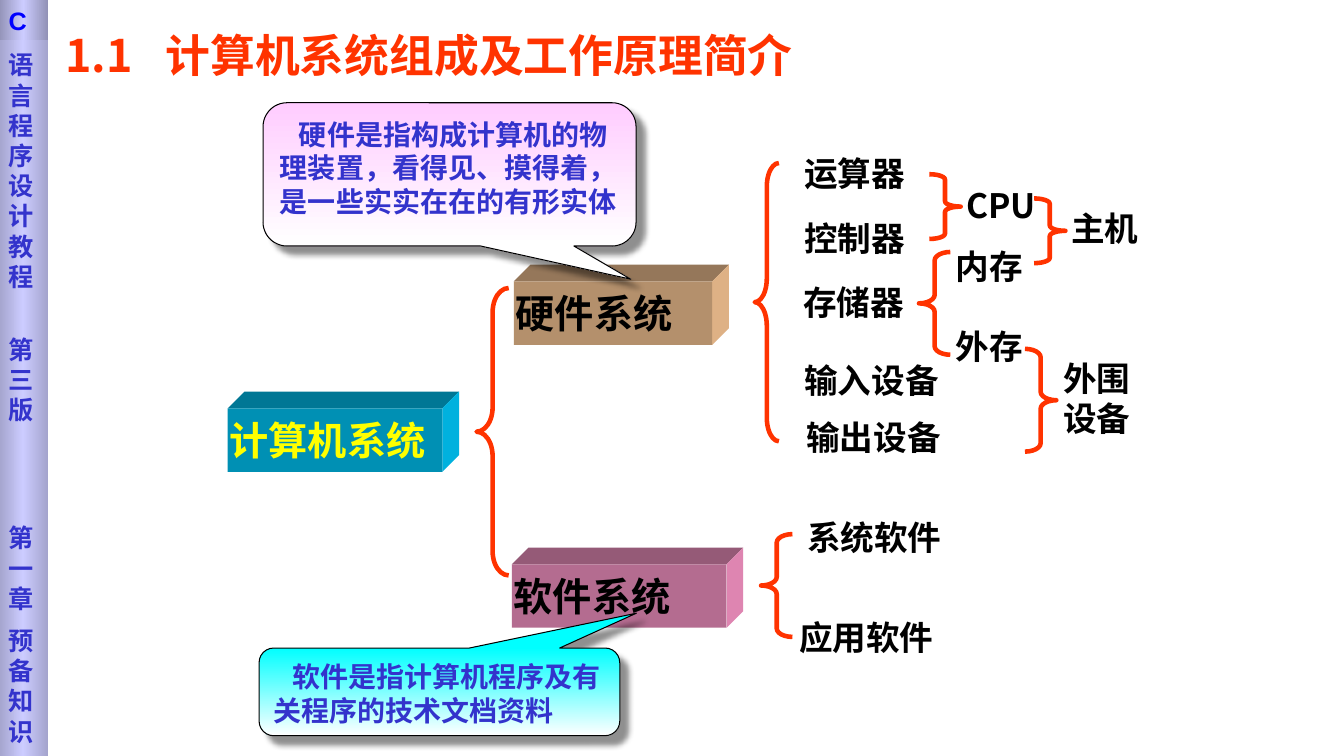
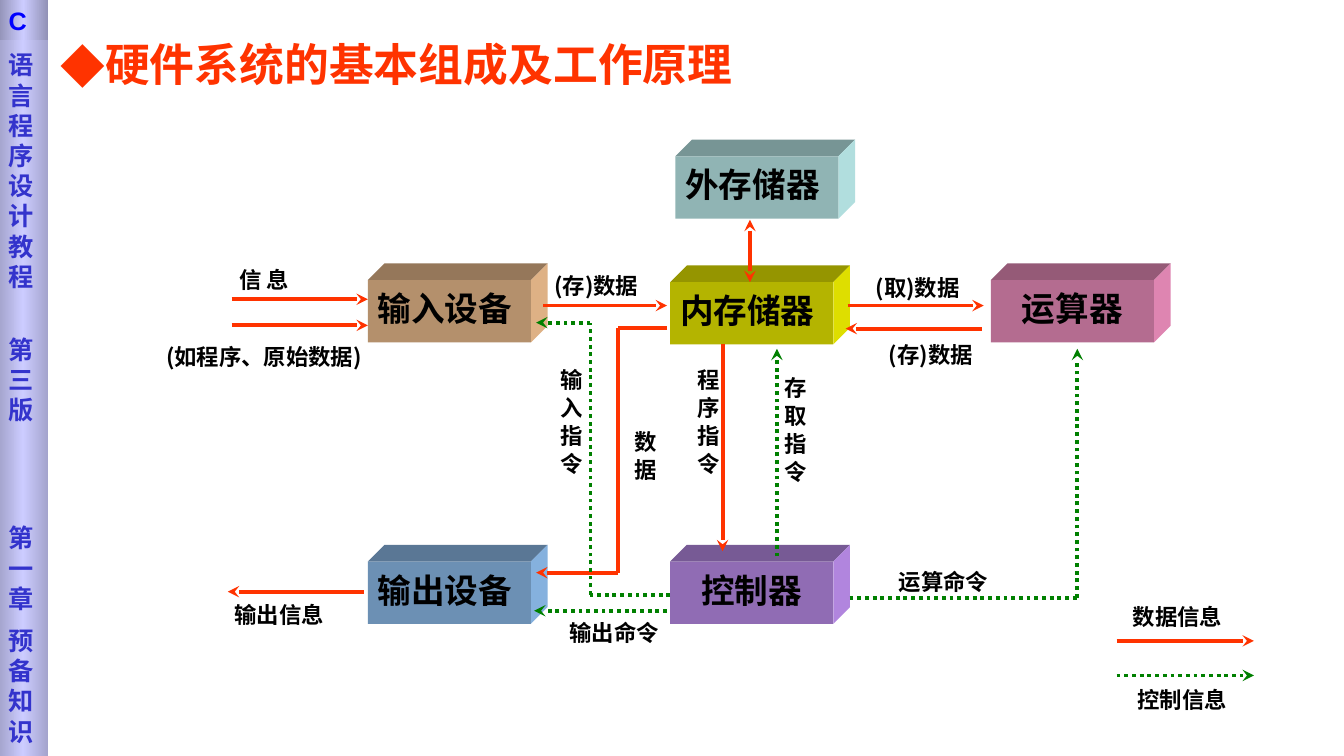
from itertools import pairwise

from lxml.etree import SubElement
from pptx import Presentation
from pptx.dml.color import RGBColor
from pptx.enum.shapes import MSO_CONNECTOR, MSO_SHAPE
from pptx.enum.text import MSO_ANCHOR, PP_ALIGN
from pptx.oxml import parse_xml
from pptx.oxml.ns import nsdecls, qn
from pptx.util import Cm, Pt

SANS = "Noto Sans CJK SC"
BLACK, RED, GREEN, INDIGO = "000000", "FF3300", "008000", "3333CC"
TAN, PINK = "FFCC99", "FF99CC"
EDGES = ("A4A4CD", "CCCCFF", "A4A4CD")
CAP_EDGES = ("9292B6", "CCCCFF", "9292B6")
DRAWING = nsdecls("a")


def rgb(code):
    return RGBColor.from_string(code)


def shade(code, factor):
    return "".join(f"{round(int(code[i:i + 2], 16) * factor):02X}" for i in (0, 2, 4))


def lengths(*values):
    return [Cm(value) for value in values]


class Deck:
    depth = 0.42
    leading = 1.2

    def __init__(self):
        self.show = Presentation()
        self.show.slide_width, self.show.slide_height = lengths(33.87, 19.05)
        self.slide = None

    def start(self):
        self.slide = self.show.slides.add_slide(self.show.slide_layouts[6])

    def typeset(self, shape, lines, size, color=BLACK, font=SANS, align=PP_ALIGN.LEFT,
                left=0.25, top=0.13):
        frame = shape.text_frame
        frame.word_wrap = True
        frame.vertical_anchor = MSO_ANCHOR.TOP
        frame.margin_left, frame.margin_right = lengths(left, 0.25)
        frame.margin_top, frame.margin_bottom = lengths(top, 0.13)
        frame.text = "\n".join(lines)
        for paragraph in frame.paragraphs:
            paragraph.alignment = align
            paragraph.line_spacing = Pt(size * self.leading)
            style = paragraph.font
            style.name, style.size, style.bold = font, Pt(size), True
            style.color.rgb = rgb(color)
            defaults = paragraph._p.pPr.find(qn("a:defRPr"))
            SubElement(defaults, qn("a:ea")).set("typeface", SANS)
        return frame.paragraphs

    def preset(self, kind, place, fill=None, line=None, width=0.75):
        shape = self.slide.shapes.add_shape(kind, *lengths(*place))
        shape.shadow.inherit = False
        self.paint(shape, fill)
        if line:
            shape.line.color.rgb = rgb(line)
            shape.line.width = Pt(width)
        else:
            shape.line.fill.background()
        return shape

    def paint(self, shape, fill):
        if fill:
            shape.fill.solid()
            shape.fill.fore_color.rgb = rgb(fill)
        else:
            shape.fill.background()

    def blend(self, shape, colors, angle):
        last = len(colors) - 1
        stops = "".join(
            f'<a:gs pos="{100000 * i // last}"><a:srgbClr val="{color}"/></a:gs>'
            for i, color in enumerate(colors))
        gradient = parse_xml(
            f'<a:gradFill {DRAWING} rotWithShape="1"><a:gsLst>{stops}</a:gsLst>'
            f'<a:lin ang="{angle * 60000}" scaled="0"/></a:gradFill>')
        properties = shape._element.spPr
        properties.replace(properties.find(qn("a:noFill")), gradient)

    def label(self, text, place, size=24, color=BLACK, font=SANS, vertical=False):
        box = self.slide.shapes.add_textbox(*lengths(*place))
        paragraph = self.typeset(box, [text], size, color, font, top=0.13 + 0.003 * size)[0]
        if vertical:
            box.text_frame._txBody.bodyPr.set("vert", "eaVert")
        return paragraph

    def title(self, text, place, font, details, margin=0):
        properties = self.label(text, place, 32, RED, font)._p.pPr
        if margin:
            properties.set("marL", str(Cm(margin)))
            properties.set("indent", str(-Cm(margin)))
        for detail in details:
            properties.find(qn("a:defRPr")).addprevious(parse_xml(detail))

    def block(self, text, place, fill, size=24, color=BLACK, align=PP_ALIGN.LEFT, left=0.25):
        x, y, width, height = place
        right, bottom, d = x + width, y + height, self.depth
        roof = [(x, y), (x + d, y - d), (right + d, y - d), (right, y)]
        side = [(right, y), (right + d, y - d), (right + d, bottom - d), (right, bottom)]
        for outline, factor in ((roof, 0.585), (side, 0.87)):
            points = [lengths(*point) for point in outline]
            builder = self.slide.shapes.build_freeform(*points[0])
            builder.add_line_segments(points[1:], close=True)
            face = builder.convert_to_shape()
            face.shadow.inherit = False
            self.paint(face, shade(fill, factor))
            face.line.fill.background()
        front = self.preset(MSO_SHAPE.RECTANGLE, place, shade(fill, 0.706))
        self.typeset(front, [text], size, color, align=align, left=left,
                     top=0.13 + 0.003 * size)

    def brace(self, place, bend, flipped=False):
        brace = self.preset(MSO_SHAPE.LEFT_BRACE, place, line=RED, width=3.25)
        brace.adjustments[0] = bend
        brace.rotation = 180 if flipped else 0

    def callout(self, text, place, tip, tint):
        bubble = self.preset(MSO_SHAPE.ROUNDED_RECTANGULAR_CALLOUT, place, line=BLACK)
        for i, value in enumerate((*tip, 0.167)):
            bubble.adjustments[i] = value
        self.blend(bubble, (tint, "FFFFFF"), 90)
        effects = bubble._element.spPr.find(qn("a:effectLst"))
        effects.append(parse_xml(
            f'<a:outerShdw {DRAWING} blurRad="{Pt(4)}" dist="{Pt(8.4)}" dir="2700000" '
            f'algn="ctr" rotWithShape="0"><a:srgbClr val="{BLACK}"><a:alpha val="43000"/>'
            '</a:srgbClr></a:outerShdw>'))
        paragraph = self.typeset(bubble, [text], 20, INDIGO, top=0.19)[0]
        paragraph._p.pPr.set("indent", str(Cm(0.48)))

    def flow(self, *points, color=RED, both=False):
        legs = list(pairwise(points))
        for leg in legs:
            start, end = leg
            line = self.slide.shapes.add_connector(
                MSO_CONNECTOR.STRAIGHT, *lengths(*start, *end))
            line.line.color.rgb = rgb(color)
            line.line.width = Pt(2.75)
            outline = line.line._get_or_add_ln()
            if color == GREEN:
                SubElement(outline, qn("a:prstDash")).set("val", "sysDot")
            if both:
                SubElement(outline, qn("a:headEnd")).set("type", "stealth")
            if leg is legs[-1]:
                SubElement(outline, qn("a:tailEnd")).set("type", "stealth")
            SubElement(line._element.spPr, qn("a:effectLst"))

    def sidebar(self):
        band = self.preset(MSO_SHAPE.RECTANGLE, (-0.03, 0, 1.24, 19.05))
        self.blend(band, EDGES, 0)
        parts = ["语言程序设计教程", "第三版", "第一章", "预备知识"]
        paragraphs = self.typeset(band, parts, 18, INDIGO, "DejaVu Sans", top=1.25)
        for paragraph, gap in zip(paragraphs, (0, 30.5, 69.8, 8.5)):
            paragraph.space_before = Pt(gap)
        cap = self.preset(MSO_SHAPE.RECTANGLE, (-0.03, 0, 1.24, 1.02))
        self.blend(cap, CAP_EDGES, 0)
        self.typeset(cap, ["C"], 18, "0000FF", "Arial")


def composition(deck):
    deck.start()
    deck.title("1.1\t计算机系统组成及工作原理简介", (1.4, 0.48, 20.2, 1.6), SANS,
               [f'<a:tabLst {DRAWING}><a:tab pos="{Cm(2.52)}" algn="l"/></a:tabLst>'])
    for text, x, y, width, fill, color in (
            ("计算机系统", 5.74, 10.29, 5.41, "00CCFF", "FFFF00"),
            ("硬件系统", 12.95, 7.09, 5, TAN, BLACK),
            ("软件系统", 12.9, 14.22, 5.41, PINK, BLACK)):
        deck.block(text, (x, y, width, 1.6), fill, 28, color, left=0.05)

    for place, bend, flipped in (
            ((12.01, 7.26, 0.81, 7.24), 0.753, False),
            ((19.02, 4.11, 0.61, 7.01), 0.973, False),
            ((23.16, 6.35, 0.79, 2.59), 0.271, False),
            ((19.18, 13.46, 0.79, 2.59), 0.271, False),
            ((23.42, 4.39, 0.79, 1.63), 0.169, True),
            ((26.06, 5, 0.79, 1.63), 0.169, True),
            ((25.83, 8.79, 0.79, 2.59), 0.271, True)):
        deck.brace(place, bend, flipped)

    for text, x, y in (
            ("运算器", 20.02, 3.66), ("控制器", 20.02, 5.28), ("存储器", 19.99, 6.91),
            ("输入设备", 20.02, 8.86), ("输出设备", 20.07, 10.31),
            ("系统软件", 20.09, 12.83), ("应用软件", 19.89, 15.34)):
        deck.label(text, (x, y, 4.11, 1.27))
    for text, x, y in (
            ("内存", 23.83, 5.99), ("外存", 23.83, 8), ("CPU", 24.1, 4.45),
            ("主机", 26.75, 5.05), ("外围设备", 26.54, 8.81)):
        deck.label(text, (x, y, 2.6, 1.27))

    deck.callout("硬件是指构成计算机的物理装置，看得见、摸得着，是一些实实在在的有形实体",
                 (6.63, 2.59, 9.4, 3.61), (0.486, 0.732), "FFCCFF")
    deck.callout("软件是指计算机程序及有关程序的技术文档资料",
                 (6.53, 16.33, 9.09, 2.21), (0.546, -0.897), "00FFFF")
    deck.sidebar()


def principle(deck):
    deck.start()
    deck.title("硬件系统的基本组成及工作原理", (1.27, 0.71, 18.4, 1.6), "Times New Roman",
               [f'<a:buFont {DRAWING} typeface="{SANS}"/>',
                f'<a:buChar {DRAWING} char="◆"/>'], 0.48)
    for text, x, y, fill in (
            ("输入设备", 9.27, 7.06, TAN), ("内存储器", 16.89, 7.11, "FFFF00"),
            ("外存储器", 17.02, 3.94, "CCFFFF"), ("运算器", 24.97, 7.06, PINK),
            ("控制器", 16.89, 14.15, "CC99FF"), ("输出设备", 9.27, 14.15, "99CCFF")):
        align = PP_ALIGN.CENTER if len(text) == 3 else PP_ALIGN.LEFT
        deck.block(text, (x, y, 4.11, 1.57), fill, align=align)

    for data in (
            [(5.84, 7.54), (9.27, 7.54)],
            [(5.84, 8.2), (9.27, 8.2)],
            [(13.69, 7.7), (16.81, 7.7)],
            [(21.36, 7.7), (24.79, 7.7)],
            [(24.74, 8.28), (21.31, 8.28)],
            [(18.21, 8.66), (18.21, 13.89)],
            [(16.81, 8.26), (15.57, 8.26), (15.57, 14.43), (13.51, 14.43)],
            [(9.17, 14.91), (5.74, 14.91)],
            [(28.14, 16.15), (31.6, 16.15)]):
        deck.flow(*data)
    deck.flow((18.9, 5.54), (18.9, 7.11), both=True)
    for control in (
            [(19.58, 14.02), (19.58, 8.79)],
            [(21.41, 15.06), (27.15, 15.06), (27.15, 8.79)],
            [(16.89, 14.99), (14.88, 14.99), (14.88, 8.13), (13.51, 8.13)],
            [(16.81, 15.39), (13.46, 15.39)],
            [(28.14, 17.02), (31.6, 17.02)]):
        deck.flow(*control, color=GREEN)

    for text, x, y, width in (
            ("信 息", 5.79, 6.53, 4.06), ("(如程序、原始数据)", 3.94, 8.48, 7.16),
            ("(存)数据", 13.72, 6.68, 3.12), ("(取)数据", 21.82, 6.73, 3.12),
            ("(存)数据", 22.15, 8.41, 4.06), ("运算命令", 22.4, 14.15, 4.06),
            ("输出命令", 14.1, 15.42, 4.06), ("输出信息", 5.66, 14.96, 4.06),
            ("数据信息", 28.3, 15.01, 4.11), ("控制信息", 28.42, 17.12, 4.11)):
        deck.label(text, (x, y, width, 1), 16)
    for text, x, y, width, height in (
            ("存 取 指 令", 19.02, 9.32, 1.6, 3.78), ("程 序 指 令", 17.4, 9.12, 1.04, 3.76),
            ("数 据", 15.34, 10.69, 1.5, 1.83), ("输 入 指 令", 13.46, 9.12, 1.52, 3.91)):
        deck.label(text, (x, y, width, height), 16, vertical=True)
    deck.sidebar()


def main():
    deck = Deck()
    composition(deck)
    principle(deck)
    deck.show.save("out.pptx")


if __name__ == "__main__":
    main()
